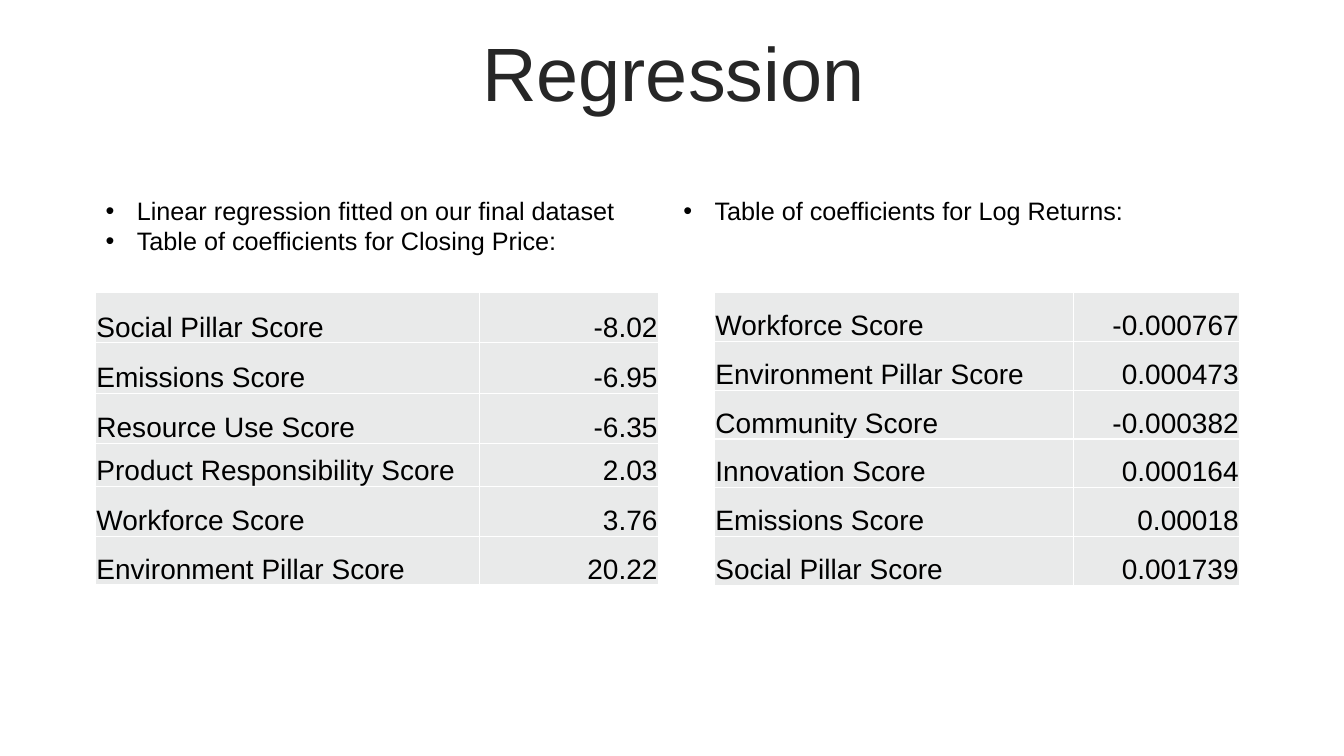
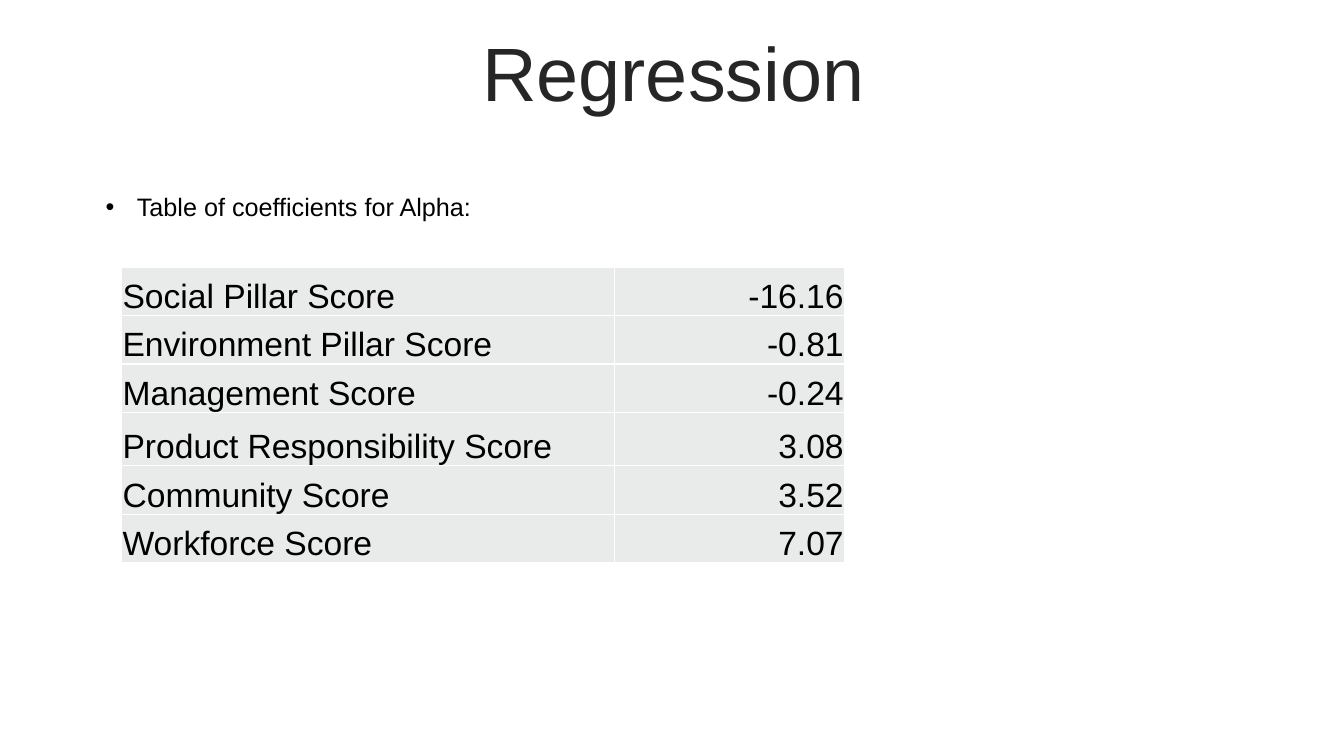
from lxml import etree
from pptx import Presentation
from pptx.dml.color import RGBColor
from pptx.enum.text import MSO_ANCHOR, PP_ALIGN
from pptx.oxml.ns import qn
from pptx.util import Cm, Pt

FONT = "Arial"
TITLE_COLOR = RGBColor(0x26, 0x26, 0x26)
TEXT_COLOR = RGBColor(0x00, 0x00, 0x00)
CELL_COLOR = RGBColor(0xE9, 0xEA, 0xEA)
BORDER_COLOR = RGBColor(0xFF, 0xFF, 0xFF)
CENTER, LEFT, RIGHT = PP_ALIGN.CENTER, PP_ALIGN.LEFT, PP_ALIGN.RIGHT
MIDDLE, BOTTOM = MSO_ANCHOR.MIDDLE, MSO_ANCHOR.BOTTOM
BULLET_INDENT = Cm(0.79)
CELL_MARGIN = Cm(0.02)

# Each panel is a bulleted heading above a coefficient table; lengths in cm.
SLIDES = [
    [
        {
            "bullets": ["Linear regression fitted on our final dataset",
                        "Table of coefficients for Closing Price:"],
            "bullets_at": (2.41, 4.8),
            "table_at": (2.41, 7.37),
            "columns": (9.68, 4.5),
            "row_heights": (1.27, 1.27, 1.27, 1.07, 1.27, 1.22),
            "size": 20,
            "coefficients": [("Social Pillar Score", "-8.02"),
                             ("Emissions Score", "-6.95"),
                             ("Resource Use Score", "-6.35"),
                             ("Product Responsibility Score", "2.03"),
                             ("Workforce Score", "3.76"),
                             ("Environment Pillar Score", "20.22")],
        },
        {
            "bullets": ["Table of coefficients for Log Returns:"],
            "bullets_at": (16.97, 4.8),
            "table_at": (18.01, 7.37),
            "columns": (9.04, 4.19),
            "row_heights": (1.23,) * 6,
            "size": 20,
            "coefficients": [("Workforce Score", "-0.000767"),
                             ("Environment Pillar Score", "0.000473"),
                             ("Community Score", "-0.000382"),
                             ("Innovation Score", "0.000164"),
                             ("Emissions Score", "0.00018"),
                             ("Social Pillar Score", "0.001739")],
        },
    ],
    [
        {
            "bullets": ["Table of coefficients for Alpha:"],
            "bullets_at": (2.41, 4.7),
            "table_at": (3.07, 6.73),
            "columns": (12.42, 5.79),
            "row_heights": (1.22, 1.22, 1.22, 1.35, 1.22, 1.22),
            "size": 24,
            "coefficients": [("Social Pillar Score", "-16.16"),
                             ("Environment Pillar Score", "-0.81"),
                             ("Management Score", "-0.24"),
                             ("Product Responsibility Score", "3.08"),
                             ("Community Score", "3.52"),
                             ("Workforce Score", "7.07")],
        },
    ],
]


def style_paragraph(paragraph, size, color, alignment):
    paragraph.alignment = alignment
    paragraph.font.name = FONT
    paragraph.font.size = Pt(size)
    paragraph.font.color.rgb = color


def style_cell(cell):
    """Set the margins, white borders and grey fill of a table cell."""
    cell.margin_left = cell.margin_right = cell.margin_top = CELL_MARGIN
    cell.margin_bottom = 0
    cell.vertical_anchor = BOTTOM
    properties = cell._tc.get_or_add_tcPr()
    for side in ("a:lnL", "a:lnR", "a:lnT", "a:lnB"):
        line = etree.SubElement(properties, qn(side), w=str(Pt(1)))
        fill = etree.SubElement(line, qn("a:solidFill"))
        etree.SubElement(fill, qn("a:srgbClr"), val=str(BORDER_COLOR))
    cell.fill.solid()
    cell.fill.fore_color.rgb = CELL_COLOR


presentation = Presentation()
presentation.slide_width = Cm(33.87)
presentation.slide_height = Cm(19.05)
blank_layout = presentation.slide_layouts[6]

for panels in SLIDES:
    slide = presentation.slides.add_slide(blank_layout)

    title = slide.shapes.add_textbox(Cm(0.89), Cm(0.94), Cm(32.16), Cm(2.01))
    title.text_frame.word_wrap = True
    title.text_frame.vertical_anchor = MIDDLE
    paragraph = title.text_frame.paragraphs[0]
    paragraph.text = "Regression"
    paragraph.line_spacing = 0.9
    style_paragraph(paragraph, 54, TITLE_COLOR, CENTER)

    for panel in panels:
        left, top = panel["bullets_at"]
        height = 0.25 + 0.77 * len(panel["bullets"])
        heading = slide.shapes.add_textbox(Cm(left), Cm(top), Cm(14.58), Cm(height))
        heading.text_frame.word_wrap = True
        heading.text_frame.text = "\n".join(panel["bullets"])
        for paragraph in heading.text_frame.paragraphs:
            properties = paragraph._p.get_or_add_pPr()
            properties.set("marL", str(BULLET_INDENT))
            properties.set("indent", str(-BULLET_INDENT))
            etree.SubElement(properties, qn("a:buFont"), typeface=FONT)
            etree.SubElement(properties, qn("a:buChar"), char="•")
            style_paragraph(paragraph, 18, TEXT_COLOR, LEFT)

        left, top = panel["table_at"]
        widths, heights = panel["columns"], panel["row_heights"]
        table = slide.shapes.add_table(
            len(heights), len(widths), Cm(left), Cm(top),
            Cm(sum(widths)), Cm(sum(heights))).table
        table.first_row = table.horz_banding = False
        for column, width in zip(table.columns, widths):
            column.width = Cm(width)
        for row, height, texts in zip(table.rows, heights, panel["coefficients"]):
            row.height = Cm(height)
            for cell, text, alignment in zip(row.cells, texts, (LEFT, RIGHT)):
                style_cell(cell)
                cell.text = text
                style_paragraph(cell.text_frame.paragraphs[0], panel["size"],
                                TEXT_COLOR, alignment)

presentation.save("out.pptx")
